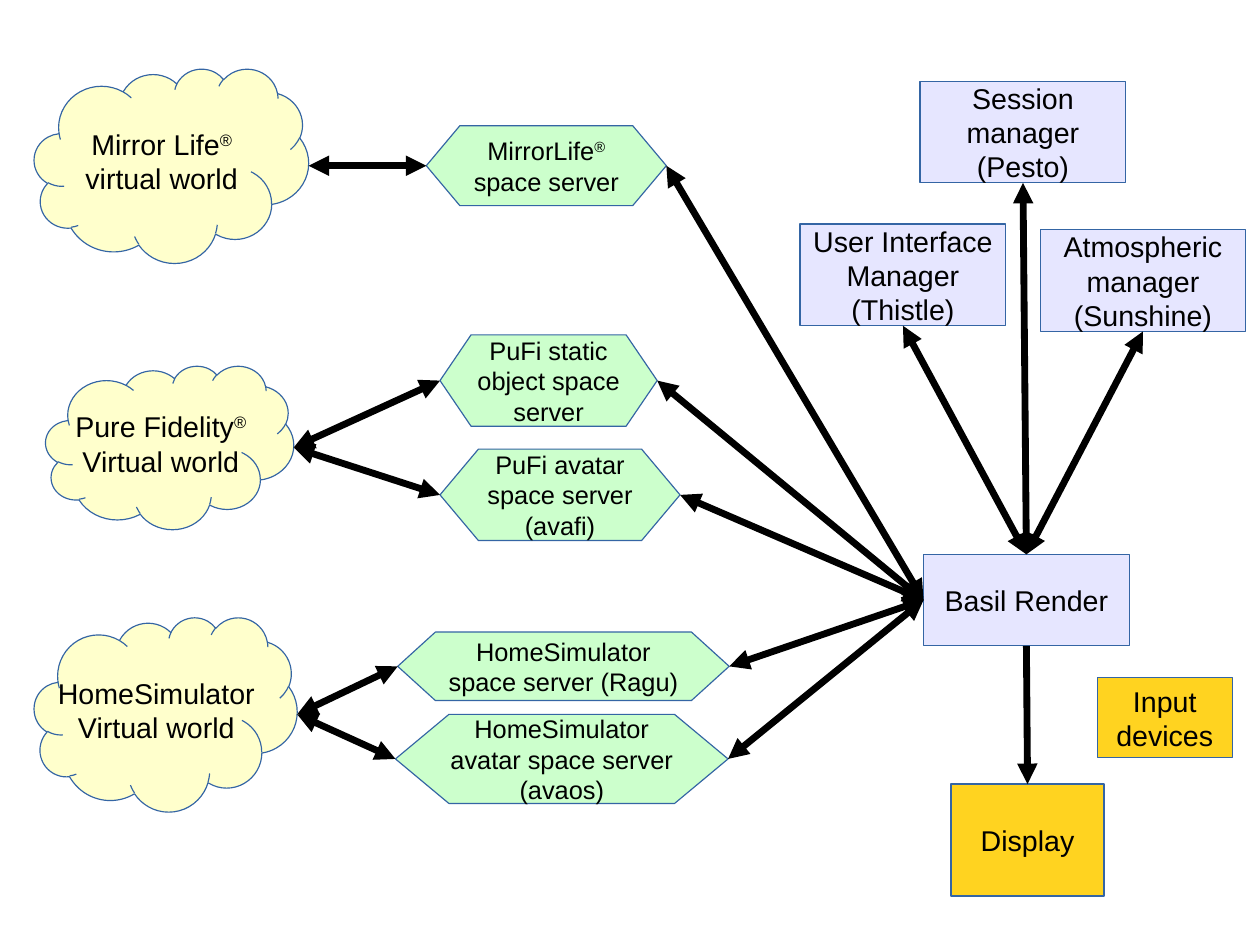
import lxml.etree
import pptx
import pptx.dml.color
import pptx.enum.shapes
import pptx.enum.text
import pptx.oxml.ns
import pptx.util

Inches = pptx.util.Inches
Pt = pptx.util.Pt
RGBColor = pptx.dml.color.RGBColor
Preset = pptx.enum.shapes.MSO_SHAPE

CM_PER_INCH = 2.54
PAGE_SIZE = {"slide_width": Inches(28 / CM_PER_INCH),
             "slide_height": Inches(21 / CM_PER_INCH)}

BLACK = RGBColor(0x00, 0x00, 0x00)
OUTLINE_BLUE = RGBColor(0x34, 0x65, 0xA4)
CLOUD_YELLOW = RGBColor(0xFF, 0xFF, 0xCC)
SERVER_GREEN = RGBColor(0xCC, 0xFF, 0xCC)
MANAGER_LILAC = RGBColor(0xE6, 0xE6, 0xFF)
DEVICE_GOLD = RGBColor(0xFF, 0xD3, 0x20)

WIDE_MARGINS = {"margin_left": Inches(0.1), "margin_right": Inches(0.1),
                "margin_top": Inches(0.05), "margin_bottom": Inches(0.05)}
NARROW_MARGINS = {"margin_left": Inches(0.04), "margin_right": Inches(0.04),
                  "margin_top": Inches(0.02), "margin_bottom": Inches(0.02)}
CLOUD_STYLE = {"preset": Preset.CLOUD, "fill": CLOUD_YELLOW, "size": 18,
               "frame": {**WIDE_MARGINS, "word_wrap": False}}
SERVER_STYLE = {"preset": Preset.HEXAGON, "fill": SERVER_GREEN, "size": 16,
                "frame": {**NARROW_MARGINS, "word_wrap": True}}
MANAGER_STYLE = {"preset": Preset.RECTANGLE, "fill": MANAGER_LILAC, "size": 18,
                 "frame": {**WIDE_MARGINS, "word_wrap": True}}
DEVICE_STYLE = {**MANAGER_STYLE, "fill": DEVICE_GOLD}


def set_attributes(target, values):
    for name, value in values.items():
        setattr(target, name, value)


def write_line(para, text, size):
    """Fill a centred paragraph, raising each ® to superscript."""
    para.alignment = pptx.enum.text.PP_ALIGN.CENTER
    before, mark, after = text.partition("®")
    for part in filter(None, (before, mark, after)):
        span = para.add_run()
        span.text = part
        set_attributes(span.font, {"name": "Arial", "size": Pt(size)})
        span.font.color.rgb = BLACK
        if part == "®":
            span._r.get_or_add_rPr().set("baseline", "33000")


def add_node(page, style, box, text):
    node = page.shapes.add_shape(style["preset"], *map(Inches, box))
    node.shadow.inherit = False
    node.fill.solid()
    node.fill.fore_color.rgb = style["fill"]
    node.line.color.rgb = OUTLINE_BLUE
    node.line.width = Pt(0)
    frame = node.text_frame
    set_attributes(frame, style["frame"])
    frame.vertical_anchor = pptx.enum.text.MSO_ANCHOR.MIDDLE
    for index, line in enumerate(text.split("\n")):
        para = frame.add_paragraph() if index else frame.paragraphs[0]
        write_line(para, line, style["size"])
    return node


def add_region(page, region, style, entries):
    """Place nodes at offsets from the region's corner; return them by key."""
    left, top = region
    return {key: add_node(page, style, (left + x, top + y, width, height), text)
            for key, (x, y, width, height), text in entries}


def add_virtual_worlds(page, region):
    return add_region(page, region, CLOUD_STYLE, [
        ("mirror", (0, 0, 2.4, 1.7), "Mirror Life®\nvirtual world"),
        ("pure", (0.1, 2.6, 2.17, 1.43), "Pure Fidelity®\nVirtual world"),
        ("home", (0, 4.8, 2.3, 1.7), "HomeSimulator\nVirtual world"),
    ])


def add_space_servers(page, region):
    servers = add_region(page, region, SERVER_STYLE, [
        ("mirror space", (0.27, 0, 2.1, 0.7), "MirrorLife® space server"),
        ("pure static", (0.39, 1.83, 1.9, 0.8), "PuFi static object space server"),
        ("pure avatar", (0.39, 2.83, 2.1, 0.8), "PuFi avatar space server (avafi)"),
        ("home space", (0.02, 4.43, 2.9, 0.6), "HomeSimulator space server (Ragu)"),
        ("home avatar", (0, 5.15, 2.91, 0.78),
         "HomeSimulator avatar space server (avaos)"),
    ])
    for server, slant in zip(servers.values(), (0.42, 0.34, 0.42, 0.55, 0.6)):
        server.adjustments[0] = slant
    return servers


def add_managers(page, region):
    return add_region(page, region, MANAGER_STYLE, [
        ("session", (1.05, 0, 1.8, 0.89), "Session manager (Pesto)"),
        ("interface", (0, 1.25, 1.8, 0.89), "User Interface Manager (Thistle)"),
        ("atmosphere", (2.1, 1.3, 1.8, 0.89), "Atmospheric manager (Sunshine)"),
        ("render", (1.08, 4.14, 1.8, 0.8), "Basil Render"),
    ])


def add_devices(page, region):
    return add_region(page, region, DEVICE_STYLE, [
        ("input", (1.28, 0, 1.18, 0.7), "Input devices"),
        ("display", (0, 0.93, 1.34, 0.98), "Display"),
    ])


def side_point(node, side):
    across, down = {"left": (0, 0.5), "right": (1, 0.5),
                    "top": (0.5, 0), "bottom": (0.5, 1)}[side]
    return (int(node.left + across * node.width),
            int(node.top + down * node.height))


def add_arrow(page, start, end, ends=("headEnd", "tailEnd")):
    arrow = page.shapes.add_connector(
        pptx.enum.shapes.MSO_CONNECTOR.STRAIGHT, *start, *end)
    arrow.line.color.rgb = BLACK
    arrow.line.width = Pt(4.31)
    line = arrow.line._get_or_add_ln()
    for name in ends:
        lxml.etree.SubElement(line, pptx.oxml.ns.qn("a:" + name), type="triangle")
    lxml.etree.SubElement(arrow._element.spPr, pptx.oxml.ns.qn("a:effectLst"))


def add_arrows(page, worlds, servers, managers, devices):
    render = managers["render"]
    for key, server in servers.items():
        world = worlds[key.split()[0]]
        add_arrow(page, side_point(world, "right"), side_point(server, "left"))
        add_arrow(page, side_point(server, "right"), side_point(render, "left"))
    for key in ("interface", "atmosphere", "session"):
        add_arrow(page, side_point(managers[key], "bottom"),
                  side_point(render, "top"))
    add_arrow(page, side_point(render, "bottom"),
              side_point(devices["display"], "top"), ends=("tailEnd",))


def main():
    deck = pptx.Presentation()
    set_attributes(deck, PAGE_SIZE)
    page = deck.slides.add_slide(deck.slide_layouts[6])
    worlds = add_virtual_worlds(page, (0.3, 0.6))
    servers = add_space_servers(page, (3.46, 1.1))
    managers = add_managers(page, (7, 0.71))
    devices = add_devices(page, (8.32, 5.93))
    add_arrows(page, worlds, servers, managers, devices)
    deck.save("out.pptx")


if __name__ == "__main__":
    main()
